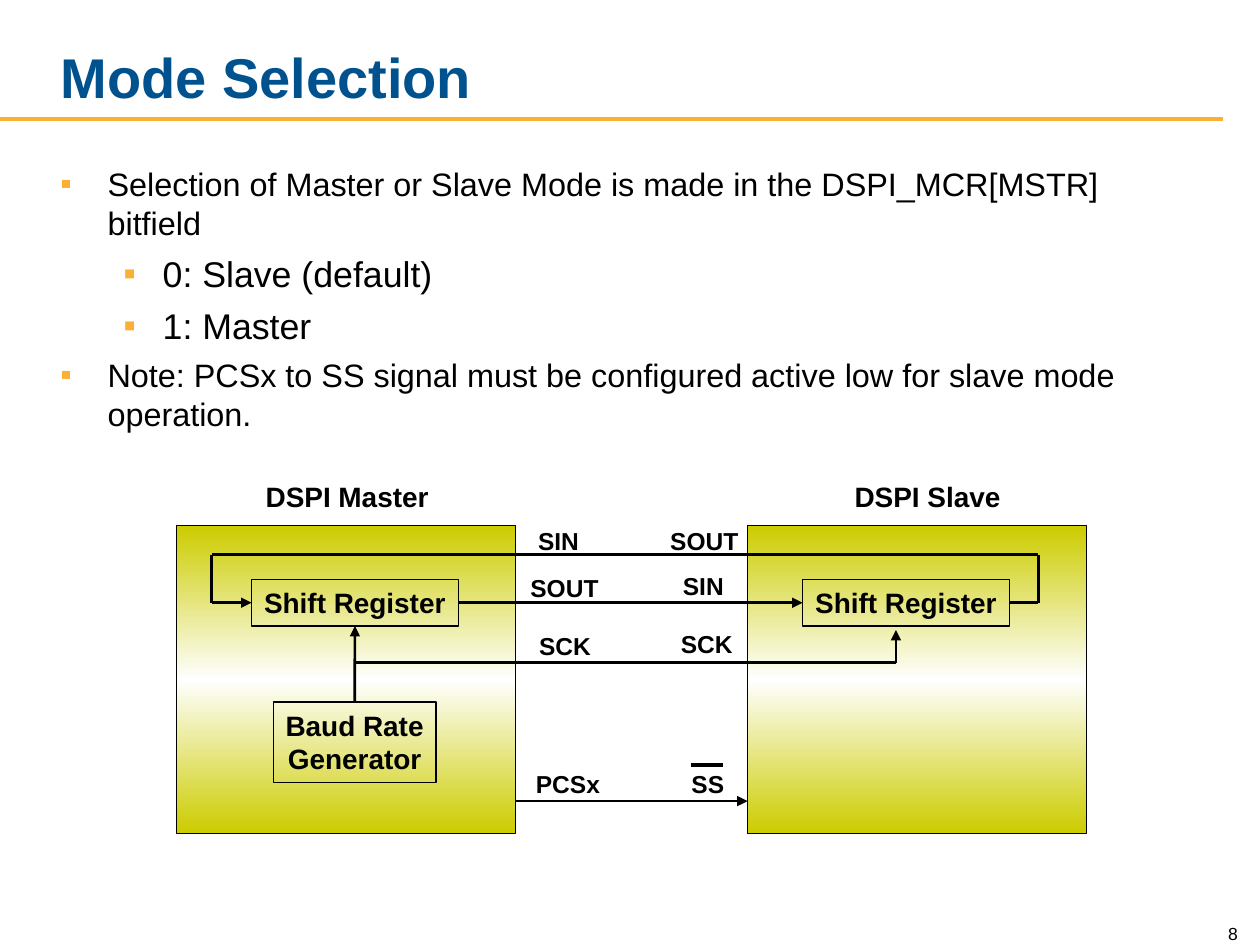
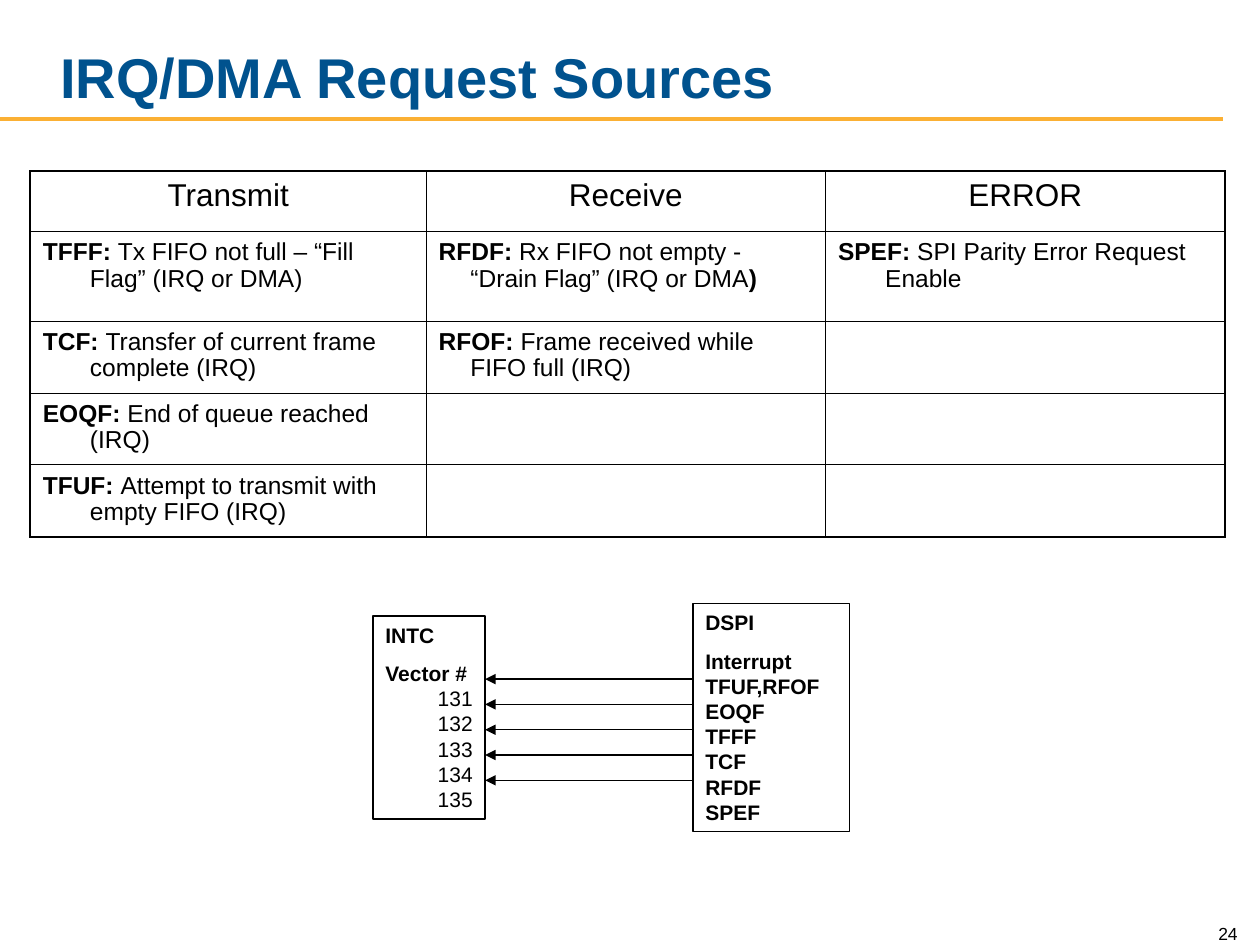
from copy import deepcopy

from pptx import Presentation
from pptx.dml.color import RGBColor
from pptx.enum.shapes import MSO_CONNECTOR as Link, MSO_SHAPE as Form
from pptx.enum.text import MSO_ANCHOR as Anchor, MSO_AUTO_SIZE as Fit, PP_ALIGN as Align
from pptx.oxml.ns import qn
from pptx.oxml.xmlchemy import OxmlElement as Node
from pptx.util import Cm, Pt

BLUE, GOLD, OLIVE, BLACK, WHITE = "00528E", "FBB034", "CCCC00", "000000", "FFFFFF"
TOP, LEFT, BOTTOM, RIGHT = range(4)


def paint(code):
    return RGBColor.from_string(code)


def assign(target, values):
    for name, value in values.items():
        setattr(target, name, value)


def add_node(parent, tag, **attrs):
    node = Node(tag)
    for name, value in attrs.items():
        node.set(name, str(value))
    parent.append(node)
    return node


# Text helpers
def write(para, runs, size, bold=False, color=BLACK, **layout):
    """Fill a paragraph from a string or from (text, bold) pairs."""
    assign(para, layout)
    pairs = [(runs, bold)] if isinstance(runs, str) else runs
    for text, heavy in pairs:
        run = para.add_run()
        run.text = text
        assign(run.font, {"name": "Arial", "size": Pt(size), "bold": heavy})
        run.font.color.rgb = paint(color)


def hang(para, left, back):
    props = para._p.get_or_add_pPr()
    props.set("marL", str(Cm(left)))
    props.set("indent", str(-Cm(back)))
    return props


def bullet(para, left, back):
    props = hang(para, left, back)
    tint = add_node(props, "a:buClr")
    add_node(tint, "a:srgbClr", val=GOLD)
    add_node(props, "a:buFont", typeface="Arial")
    add_node(props, "a:buChar", char="▪")


def fill_frame(frame, lines, wrap=True, anchor=Anchor.TOP):
    """Each line is a dict of arguments for write()."""
    assign(frame, {"word_wrap": wrap, "vertical_anchor": anchor})
    for i, line in enumerate(lines):
        para = frame.add_paragraph() if i else frame.paragraphs[0]
        write(para, **line)


def label(slide, box, lines, wrap=True, **look):
    item = slide.shapes.add_textbox(*map(Cm, box))
    fill_frame(item.text_frame, lines, wrap=wrap, **look)
    if not wrap:
        item.text_frame.auto_size = Fit.SHAPE_TO_FIT_TEXT
    return item


# Shape helpers
def panel(slide, box, lines=(), wrap=False):
    item = slide.shapes.add_shape(Form.RECTANGLE, *map(Cm, box))
    item.shadow.inherit = False
    item.fill.background()
    item.line.color.rgb = paint(BLACK)
    item.line.width = Pt(0.75)
    fill_frame(item.text_frame, lines, wrap=wrap)
    return item


def shade(item):
    """Vertical fade from olive to white and back."""
    item.fill.gradient()
    item.fill.gradient_angle = 90
    stops = item.element.spPr.find(".//" + qn("a:gsLst"))
    stops.append(deepcopy(stops[0]))
    for stop, spot, code in zip(item.fill.gradient_stops, (0, 0.5, 1),
                                (OLIVE, WHITE, OLIVE)):
        stop.position = spot
        stop.color.rgb = paint(code)


def wire(slide, start, end, width=1.5, color=BLACK, arrow=False,
         source=None, target=None):
    """Line between points; source and target are (shape, side) joints."""
    line = slide.shapes.add_connector(Link.STRAIGHT, *map(Cm, start + end))
    line.line.color.rgb = paint(color)
    line.line.width = Pt(width)
    if arrow:
        add_node(line.line._get_or_add_ln(), "a:tailEnd", type="triangle")
    add_node(line._element.spPr, "a:effectLst")
    if source:
        line.begin_connect(*source)
    if target:
        line.end_connect(*target)


# Shared slide frame
def base(deck, title, number):
    slide = deck.slides.add_slide(deck.slide_layouts[6])
    wire(slide, (0, 2.39), (24.66, 2.39), 2.25, GOLD)
    label(slide, (0.97, 0.43, 20.75, 1.91),
          [dict(runs=title, size=32, bold=True, color=BLUE)], anchor=Anchor.BOTTOM)
    label(slide, (23.93, 18.39, 1.27, 0.76),
          [dict(runs=number, size=10, alignment=Align.RIGHT)], anchor=Anchor.BOTTOM)
    return slide


# Mode selection
def points(slide, box):
    main = "Selection of Master or Slave Mode is made in the DSPI_MCR[MSTR] bitfield"
    note = "Note: PCSx to SS signal must be configured active low for slave mode operation."
    rows = [(main, 0), ("0: Slave (default)", 1), ("1: Master", 1), (note, 0)]
    looks = [dict(size=18.5, gap=5, left=0.95, back=0.95),
             dict(size=20.4, gap=5.5, left=2.06, back=0.79)]
    frame = label(slide, box, []).text_frame
    for i, (text, level) in enumerate(rows):
        look = looks[level]
        para = frame.add_paragraph() if i else frame.paragraphs[0]
        para.level = level
        para.space_before = Pt(look["gap"] if i else 0)
        bullet(para, look["left"], look["back"])
        write(para, text, look["size"])


def wiring(slide, x, y):
    """Master and slave blocks with their signals, from the top left (x, y)."""
    wide, high, far = 6.83, 6.2, 11.51

    def at(dx, dy):
        return x + dx, y + dy

    def bold(size, *texts):
        return [dict(runs=t, size=size, bold=True, alignment=Align.CENTER)
                for t in texts]

    # Blocks and their captions
    for dx, name, shift, width in [(0, "DSPI Master", 1.44, 4),
                                   (far, "DSPI Slave", 13.34, 3.6)]:
        shade(panel(slide, at(dx, 0) + (wide, high)))
        label(slide, at(shift, -1.05) + (width, 0.94), bold(16, name), wrap=False)

    # Inner boxes
    master, slave = [panel(slide, at(dx, 1.08) + (4.17, 0.94), bold(16, "Shift Register"))
                     for dx in (1.51, 12.62)]
    baud = panel(slide, at(1.95, 3.55) + (3.28, 1.63), bold(16, "Baud Rate", "Generator"))

    # Data loop
    mid, loop, near, end = 1.55, 0.58, 0.71, 17.37
    wire(slide, at(5.68, mid), at(12.62, mid), arrow=True,
         source=(master, RIGHT), target=(slave, LEFT))
    wire(slide, at(16.79, mid), at(end, mid), source=(slave, RIGHT))
    wire(slide, at(end, mid), at(end, loop))
    wire(slide, at(end, loop), at(near, loop))
    wire(slide, at(near, loop), at(near, mid))
    wire(slide, at(near, mid), at(1.51, mid), arrow=True, target=(master, LEFT))

    # Clock and chip select
    wire(slide, at(3.6, 3.55), at(3.6, 2.02), arrow=True,
         source=(baud, TOP), target=(master, BOTTOM))
    wire(slide, at(3.6, 2.76), at(14.5, 2.76))
    wire(slide, at(14.5, 2.76), at(14.5, 2.1), arrow=True)
    wire(slide, at(wide, 5.55), at(far, 5.55), arrow=True)
    wire(slide, at(10.36, 4.82), at(11.02, 4.82), width=2)

    # Signal names
    for text, dx, dy, width in [
            ("SIN", 6.95, -0.13, 1.5), ("SOUT", 9.64, -0.13, 2),
            ("SOUT", 6.82, 0.83, 2), ("SIN", 9.87, 0.78, 1.5),
            ("SCK", 6.98, 2, 1.7), ("SCK", 9.84, 1.95, 1.7),
            ("PCSx", 6.89, 4.77, 2), ("SS", 10.06, 4.77, 1.3)]:
        label(slide, at(dx, dy) + (width, 0.86), bold(14, text), wrap=False)


# Request sources
HEADS = ["Transmit", "Receive", "ERROR"]
FLAGS = [
    [("TFFF: ", "Tx FIFO not full – “Fill Flag” (IRQ or DMA)"),
     ("RFDF: ", "Rx FIFO not empty - “Drain Flag” (IRQ or DMA", ")"),
     ("SPEF: ", "SPI Parity Error Request Enable")],
    [("TCF: ", "Transfer of current frame complete (IRQ)"),
     ("RFOF: ", "Frame received while FIFO full (IRQ)")],
    [("EOQF: ", "End of queue reached (IRQ)")],
    [("TFUF: ", "Attempt to transmit with empty FIFO (IRQ)")],
]


def border(cell, edges):
    """Edges maps L, R, T, B to whether that side is on the outside."""
    props = cell._tc.get_or_add_tcPr()
    for i, (side, outer) in enumerate(edges.items()):
        line = add_node(props, "a:ln" + side, w=Pt(1.08 if outer else 0.45))
        add_node(add_node(line, "a:solidFill"), "a:srgbClr", val=BLACK)
        props.insert(i, line)


def sources(slide, x, y):
    cols, rows = [7.98, 8.05, 8.05], [1.22, 1.8, 1.45, 1.45, 1.45]
    hangs = [0.95, 0.64, 0.95]
    box = (x, y, sum(cols), sum(rows))
    table = slide.shapes.add_table(len(rows), len(cols), *map(Cm, box)).table
    assign(table, {"first_row": False, "horz_banding": False})
    for col, width in zip(table.columns, cols):
        col.width = Cm(width)
    for r, height in enumerate(rows):
        table.rows[r].height = Cm(height)
        for c in range(len(cols)):
            cell = table.cell(r, c)
            assign(cell, {"margin_right": Cm(0.35 if r else 0.25),
                          "margin_top": Cm(0.16 if r else 0.13)})
            cell.fill.solid()
            cell.fill.fore_color.rgb = paint(WHITE)
            border(cell, {"L": c == 0, "R": c == len(cols) - 1,
                          "T": r == 0, "B": r == len(rows) - 1})
            para = cell.text_frame.paragraphs[0]
            if r == 0:
                hang(para, hangs[c], hangs[c])
                write(para, HEADS[c], 18, alignment=Align.CENTER)
            elif c < len(FLAGS[r - 1]):
                hang(para, hangs[c], hangs[c])
                parts = [(t, i % 2 == 0) for i, t in enumerate(FLAGS[r - 1][c])]
                write(para, parts, 14, line_spacing=0.97)


def vectors(slide, x, y):
    """Interrupt vectors beside the flags that raise them."""
    def lines(heads, items, **look):
        return [dict(runs=t, size=12, bold=True, alignment=Align.LEFT,
                     space_before=Pt(7.5 if i else 0)) for i, t in enumerate(heads)
                ] + [dict(runs=t, size=12, **look) for t in items]

    numbers = [str(n) for n in range(131, 136)]
    flags = ["TFUF,RFOF", "EOQF", "TFFF", "TCF", "RFDF", "SPEF"]
    panel(slide, (x, y + 0.25, 2.26, 4.09),
          lines(["INTC", "Vector #"], numbers, alignment=Align.RIGHT), wrap=True)
    panel(slide, (x + 6.45, y, 3.15, 4.6),
          lines(["DSPI", "Interrupt"], flags, bold=True, alignment=Align.LEFT), wrap=True)
    for i in range(len(numbers)):
        level = y + 1.52 + 0.51 * i
        wire(slide, (x + 6.42, level), (x + 2.26, level), 0.75, arrow=True)


def main():
    deck = Presentation()
    assign(deck, {"slide_width": Cm(25.4), "slide_height": Cm(19.05)})
    mode = base(deck, "Mode Selection", "8")
    points(mode, (0.97, 3.18, 23.06, 5.97))
    wiring(mode, 3.56, 10.6)
    irq = base(deck, "IRQ/DMA Request Sources", "24")
    sources(irq, 0.61, 3.45)
    vectors(irq, 7.52, 12.17)
    deck.save("out.pptx")


if __name__ == "__main__":
    main()
